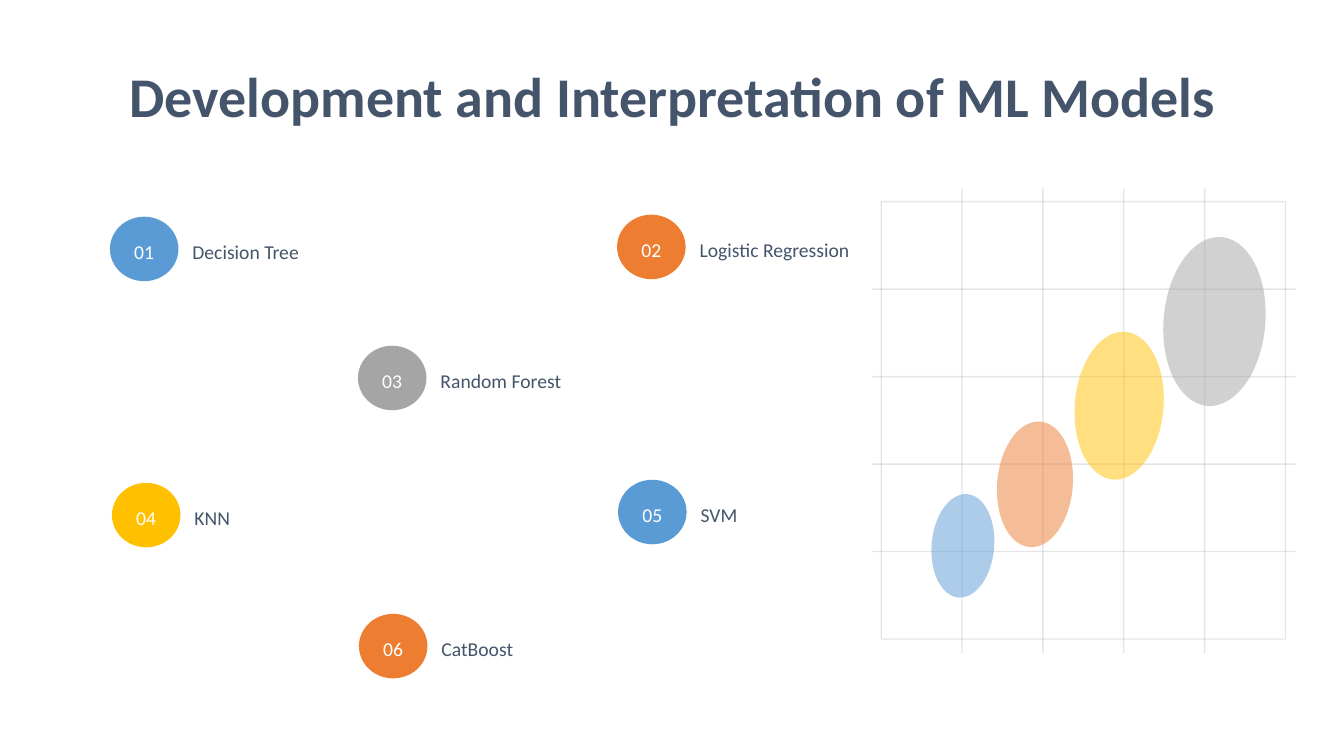
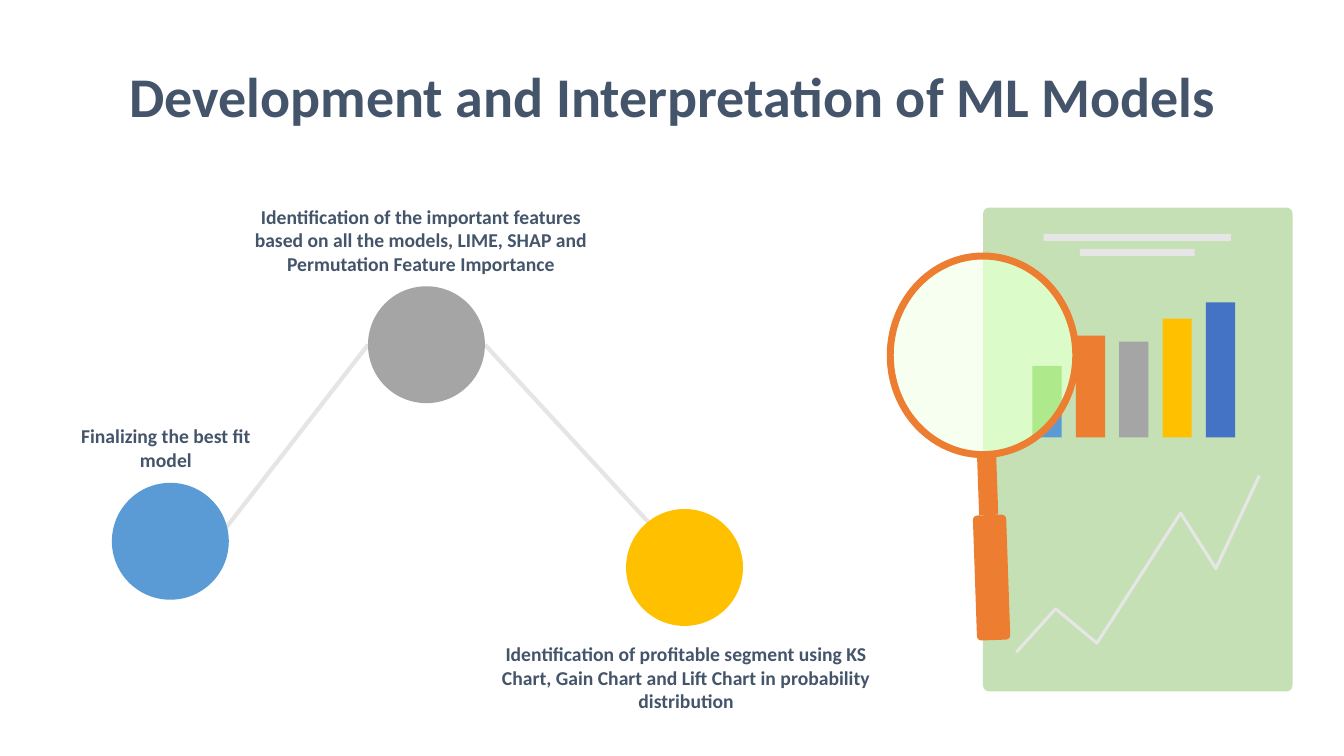
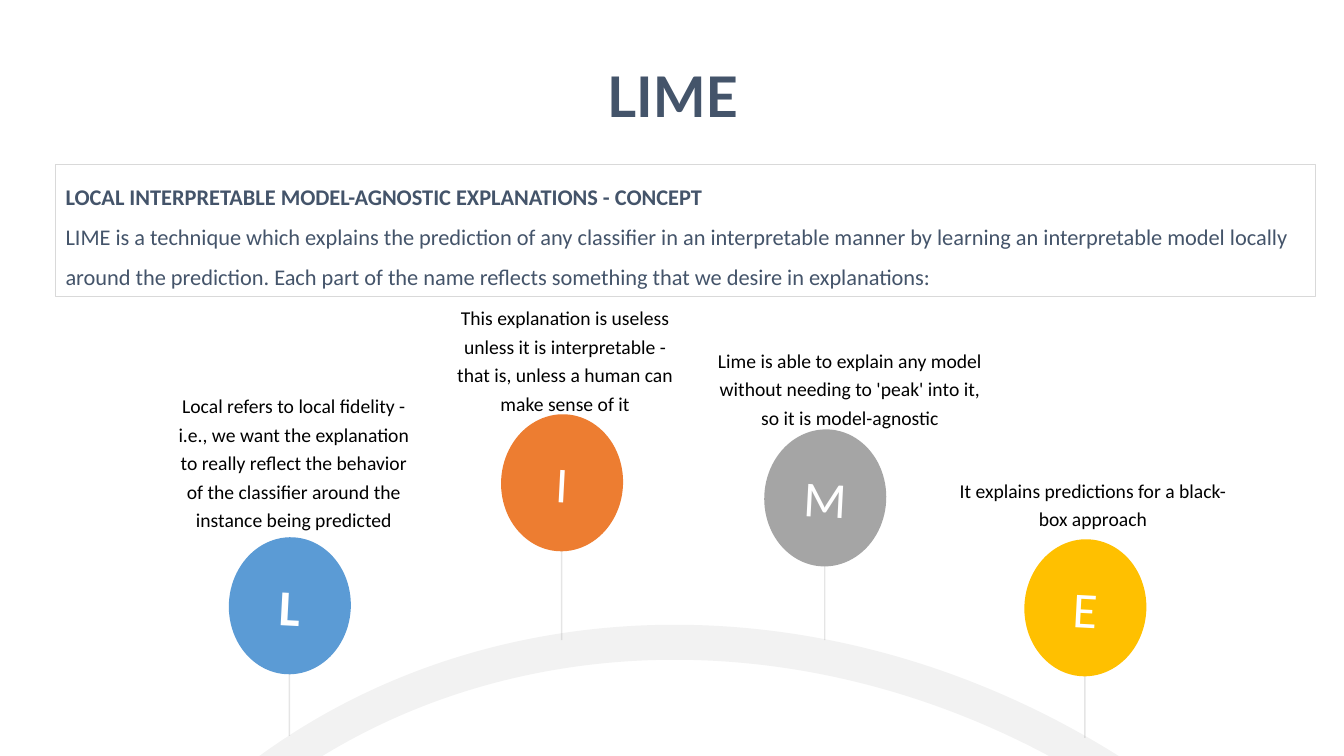
from dataclasses import dataclass
from math import cos, pi, sin
from typing import Optional

from lxml import etree
from pptx import Presentation
from pptx import util as u
from pptx.dml import color
from pptx.enum import shapes, text
from pptx.oxml import ns

NAVY, WHITE, BLACK = "44546A", "FFFFFF", "000000"
BLUE, ORANGE, GREY, GOLD, INDIGO = "5B9BD5", "ED7D31", "A5A5A5", "FFC000", "4472C4"
RULE, PALE, FRAME = "808080", "E7E6E6", "D9D9D9"
PAPER, LENS_CLEAR, LENS_TINT, LENS_BAR = "C5E0B4", "F6FFF0", "DBFCC8", "AEE98C"
MODELS_TITLE = "Development and Interpretation of ML Models"
Preset = shapes.MSO_SHAPE
Align = text.PP_ALIGN


@dataclass
class Box:
    left: float
    top: float
    width: float
    height: float

    def lengths(self) -> list:
        return [u.Inches(v) for v in (self.left, self.top, self.width, self.height)]


@dataclass
class Type:
    size: float = 14
    color: str = NAVY
    bold: bool = False
    font: str = "Calibri"


@dataclass
class Model:
    number: str
    name: str
    left: float
    top: float
    color: str


@dataclass
class Bubble:
    box: Box
    color: str


@dataclass
class Step:
    left: float
    top: float
    color: str
    caption: str
    caption_box: Box


@dataclass
class Letter:
    letter: str
    left: float
    top: float
    stem_end: float
    color: str
    meaning: str
    meaning_box: Box


MODELS = [
    Model("01", "Decision Tree", 1.09, 2.15, BLUE),
    Model("02", "Logistic Regression", 6.12, 2.13, ORANGE),
    Model("03", "Random Forest", 3.55, 3.43, GREY),
    Model("04", "KNN", 1.11, 4.79, GOLD),
    Model("05", "SVM", 6.13, 4.76, BLUE),
    Model("06", "CatBoost", 3.56, 6.09, ORANGE),
]
BUBBLES = [
    Bubble(Box(10.66, 3.29, 0.88, 1.47), GOLD),
    Bubble(Box(9.89, 4.18, 0.75, 1.25), ORANGE),
    Bubble(Box(9.24, 4.9, 0.62, 1.03), BLUE),
    Bubble(Box(11.54, 2.35, 1.01, 1.68), GREY),
]
STEPS = [
    Step(1.11, 4.79, BLUE, "Finalizing the best fit model", Box(0.54, 4.16, 2.21, 0.57)),
    Step(3.65, 2.84, GREY,
         "Identification of the important features based on all the models, "
         "LIME, SHAP and Permutation Feature Importance", Box(2.28, 1.98, 3.79, 0.81)),
    Step(6.21, 5.05, GOLD,
         "Identification of profitable segment using KS Chart, Gain Chart and "
         "Lift Chart in probability distribution", Box(4.65, 6.32, 4.31, 0.81)),
]
LETTERS = [
    Letter("L", 2.27, 5.33, 7.3, BLUE,
           "Local refers to local fidelity - i.e., we want the explanation to really "
           "reflect the behavior of the classifier around the instance being predicted",
           Box(1.63, 3.81, 2.57, 1.78)),
    Letter("I", 4.97, 4.11, 6.35, ORANGE,
           "This explanation is useless unless it is interpretable - that is, "
           "unless a human can make sense of it", Box(4.41, 2.94, 2.39, 1.5)),
    Letter("M", 7.58, 4.26, 6.35, GREY,
           "Lime is able to explain any model without needing to 'peak' into it, "
           "so it is model-agnostic", Box(6.94, 3.36, 2.98, 0.94)),
    Letter("E", 10.16, 5.35, 7.32, GOLD,
           "It explains predictions for a black-box approach", Box(9.35, 4.65, 2.98, 0.66)),
]
CONCEPT = [
    ("LOCAL INTERPRETABLE MODEL-AGNOSTIC EXPLANATIONS - CONCEPT", True),
    ("LIME is a technique which explains the prediction of any classifier in an "
     "interpretable manner by learning an interpretable model locally around the "
     "prediction. Each part of the name reflects something that we desire in "
     "explanations:", False),
]


def paint(fill, hex_color: str, opacity: int = 100) -> None:
    fill.solid()
    fill.fore_color.rgb = color.RGBColor.from_string(hex_color)
    if opacity < 100:
        rgb = fill._xPr.find(".//" + ns.qn("a:srgbClr"))
        etree.SubElement(rgb, ns.qn("a:alpha"), val=str(opacity * 1000))


def style(shape, fill: Optional[str] = None, opacity: int = 100,
          line: Optional[str] = None, width: float = 1, line_opacity: int = 100) -> None:
    shape.shadow.inherit = False
    if fill:
        paint(shape.fill, fill, opacity)
    else:
        shape.fill.background()
    if line:
        paint(shape.line.fill, line, line_opacity)
        shape.line.width = u.Pt(width)
    else:
        shape.line.fill.background()


def add_preset(slide, kind, box: Box, rotation: float = 0, **look):
    shape = slide.shapes.add_shape(kind, *box.lengths())
    shape.rotation = rotation
    style(shape, **look)
    return shape


def add_outline(slide, points: list, close: bool = True, **look) -> None:
    start, *rest = [(u.Inches(x), u.Inches(y)) for x, y in points]
    builder = slide.shapes.build_freeform(*start)
    builder.add_line_segments(rest, close=close)
    style(builder.convert_to_shape(), **look)


def add_rule(slide, x1: float, y1: float, x2: float, y2: float, width: float = 1) -> None:
    rule = slide.shapes.add_connector(
        shapes.MSO_CONNECTOR.STRAIGHT, *[u.Inches(v) for v in (x1, y1, x2, y2)])
    rule.line.width = u.Pt(width)
    paint(rule.line.fill, RULE, 20)
    etree.SubElement(rule._element.spPr, ns.qn("a:effectLst"))


def write(paragraph, words: str, kind: Type, align=Align.LEFT, spacing=None) -> None:
    paragraph.alignment = align
    paragraph.space_before = u.Pt(0)
    if spacing:
        paragraph.line_spacing = spacing
    run = paragraph.add_run()
    run.text = words
    run.font.name = kind.font
    run.font.size = u.Pt(kind.size)
    run.font.bold = kind.bold
    run.font.color.rgb = color.RGBColor.from_string(kind.color)


def add_label(slide, box: Box, words: str, kind: Type, align=Align.LEFT, spacing=None) -> None:
    frame = slide.shapes.add_textbox(*box.lengths()).text_frame
    frame.word_wrap = True
    write(frame.paragraphs[0], words, kind, align, spacing)


def add_badge(slide, box: Box, fill: str, mark: str, kind: Type,
              rotation: float = 0, drop: float = 0) -> None:
    frame = add_preset(slide, Preset.OVAL, box, rotation, fill=fill).text_frame
    frame.margin_left = frame.margin_right = frame.margin_bottom = 0
    frame.margin_top = u.Inches(drop)
    frame.vertical_anchor = text.MSO_ANCHOR.MIDDLE
    write(frame.paragraphs[0], mark, kind, Align.CENTER)


def place(placeholder, box: Box):
    (placeholder.left, placeholder.top,
     placeholder.width, placeholder.height) = box.lengths()
    frame = placeholder.text_frame
    frame.word_wrap = True
    frame.auto_size = text.MSO_AUTO_SIZE.NONE
    return frame


def open_slide(prs, layout: int, title: str, font: str = "Calibri"):
    slide = prs.slides.add_slide(prs.slide_layouts[layout])
    frame = place(slide.shapes.title, Box(0.48, 0.56, 12.38, 0.77))
    write(frame.paragraphs[0], title, Type(40, bold=True, font=font), Align.CENTER)
    return slide


def draw_bubble_chart(slide) -> None:
    grid = Box(8.74, 2, 4.01, 4.34)
    add_preset(slide, Preset.RECTANGLE, grid, line=RULE, line_opacity=20)
    for i in range(1, 5):
        x = grid.left + grid.width * i / 5
        y = grid.top + grid.height * i / 5
        add_rule(slide, x, 1.87, x, 6.48)
        add_rule(slide, 8.65, y, 12.85, y)
    for bubble in BUBBLES:
        add_preset(slide, Preset.OVAL, bubble.box, 4.9, fill=bubble.color, opacity=50)


def draw_models(prs) -> None:
    slide = open_slide(prs, 5, MODELS_TITLE)
    draw_bubble_chart(slide)
    for model in MODELS:
        add_badge(slide, Box(model.left, model.top, 0.68, 0.64), model.color,
                  model.number, Type(color=WHITE), drop=0.06)
        add_label(slide, Box(model.left + 0.72, model.top + 0.18, 2.21, 0.34),
                  model.name, Type())


def draw_report(slide) -> None:
    paper = add_preset(slide, Preset.ROUNDED_RECTANGLE, Box(9.75, 2.06, 3.07, 4.8), fill=PAPER)
    paper.adjustments[0] = 0.02
    trend = [(10.08, 6.47), (10.47, 6.04), (10.88, 6.38),
             (11.71, 5.09), (12.06, 5.64), (12.49, 4.72)]
    add_outline(slide, trend, close=False, line=PALE, width=2.25)
    for heading in (Box(10.35, 2.32, 1.86, 0.07), Box(10.71, 2.47, 1.14, 0.07)):
        add_preset(slide, Preset.RECTANGLE, heading, fill=PALE)
    bars = zip((0.71, 1.01, 0.95, 1.18, 1.34), (BLUE, ORANGE, GREY, GOLD, INDIGO))
    for i, (height, fill) in enumerate(bars):
        add_preset(slide, Preset.RECTANGLE,
                   Box(10.24 + 0.43 * i, 4.34 - height, 0.29, height), fill=fill)


def draw_magnifier(slide) -> None:
    for side, fill in ((-1, LENS_CLEAR), (1, LENS_TINT)):
        half = [(9.75 + side * 0.94 * sin(pi * i / 40), 3.52 - 1.01 * cos(pi * i / 40))
                for i in range(41)]
        add_outline(slide, half, fill=fill)
    seen_bar = [(10.53, 3.63), (10.24, 3.63), (10.24, 4.34),
                (10.31, 4.34), (10.43, 4.22), (10.53, 4.08)]
    add_outline(slide, seen_bar, fill=LENS_BAR)
    add_preset(slide, Preset.RECTANGLE, Box(9.7, 4.48, 0.19, 0.63), -2, fill=ORANGE)
    add_preset(slide, Preset.OVAL, Box(8.83, 2.54, 1.84, 1.97), line=ORANGE, width=5)
    grip = add_preset(slide, Preset.ROUNDED_RECTANGLE, Box(9.67, 5.11, 0.33, 1.24), -2,
                      fill=ORANGE)
    grip.adjustments[0] = 0.13


def draw_steps(prs) -> None:
    slide = open_slide(prs, 5, MODELS_TITLE)
    draw_report(slide)
    draw_magnifier(slide)
    add_rule(slide, 2.13, 5.38, 3.65, 3.42, 3)
    add_rule(slide, 4.81, 3.42, 6.55, 5.31, 3)
    for step in STEPS:
        add_preset(slide, Preset.OVAL, Box(step.left, step.top, 1.16, 1.16), fill=step.color)
        add_label(slide, step.caption_box, step.caption, Type(bold=True), Align.CENTER)


def draw_concept(slide) -> None:
    concept = slide.placeholders[1]
    frame = place(concept, Box(0.55, 1.63, 12.5, 1.31))
    paint(concept.line.fill, FRAME)
    concept.line.width = u.Pt(0.75)
    for i, (words, bold) in enumerate(CONCEPT):
        paragraph = frame.add_paragraph() if i else frame.paragraphs[0]
        props = paragraph._p.get_or_add_pPr()
        props.set("marL", "0")
        props.set("indent", "0")
        etree.SubElement(props, ns.qn("a:buNone"))
        write(paragraph, words, Type(16, bold=bold), spacing=1.5)


def draw_lime(prs) -> None:
    slide = open_slide(prs, 1, "LIME", "Lato")
    draw_concept(slide)
    add_preset(slide, Preset.ARC, Box(0.54, 5.92, 13.95, 15.6), 311.5,
               line=RULE, width=25, line_opacity=10)
    for item in LETTERS:
        stem = item.left + 0.6
        add_rule(slide, stem, item.top + 1.14, stem, item.stem_end)
        add_badge(slide, Box(item.left, item.top, 1.21, 1.36), item.color, item.letter,
                  Type(36, WHITE, bold=item.letter == "L"), rotation=3)
        add_label(slide, item.meaning_box, item.meaning, Type(color=BLACK),
                  Align.CENTER, u.Pt(20.4))


def main() -> None:
    prs = Presentation()
    prs.slide_width, prs.slide_height = u.Inches(13.33), u.Inches(7.5)
    draw_models(prs)
    draw_steps(prs)
    draw_lime(prs)
    prs.save("out.pptx")


if __name__ == "__main__":
    main()
